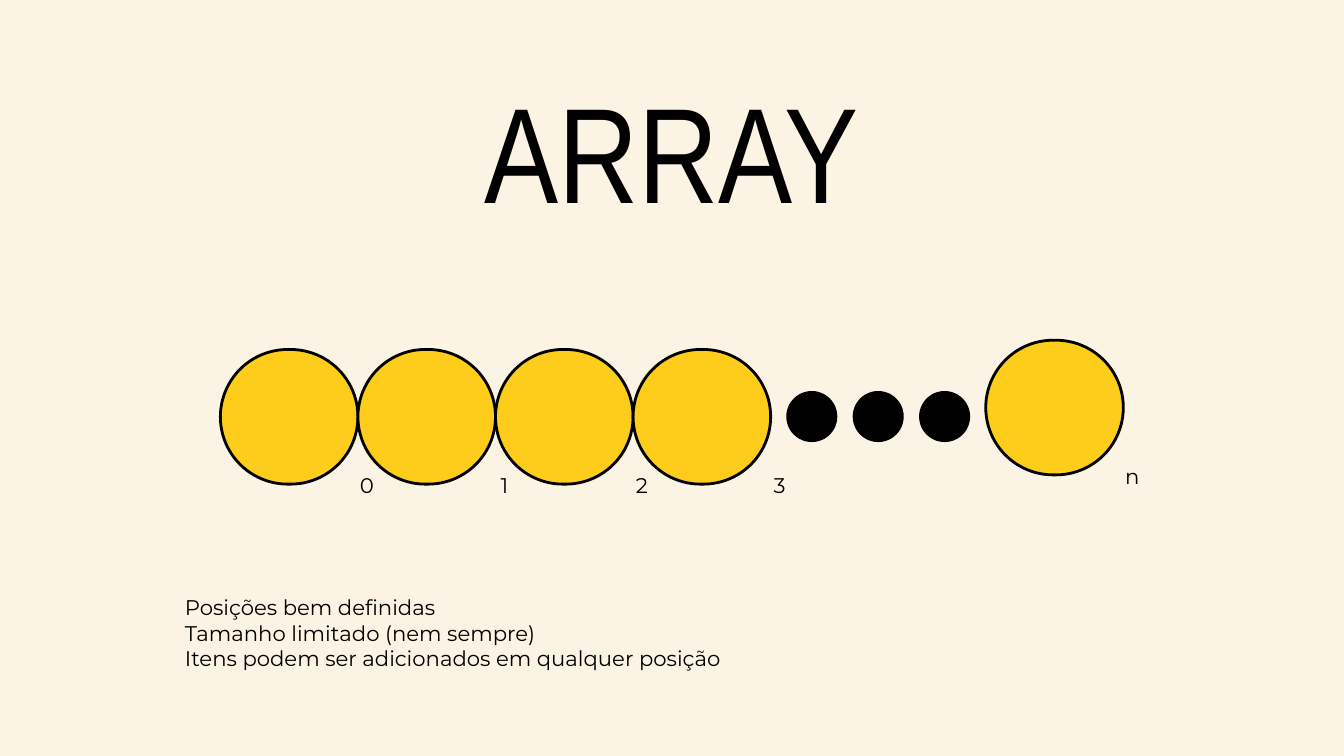
from dataclasses import dataclass

from pptx import Presentation
from pptx.dml.color import RGBColor
from pptx.enum.shapes import MSO_SHAPE
from pptx.enum.text import MSO_ANCHOR, PP_ALIGN
from pptx.util import Cm, Pt


@dataclass(frozen=True)
class Theme:
    paper: RGBColor = RGBColor.from_string("FBF3E4")
    ink: RGBColor = RGBColor.from_string("000000")
    cell: RGBColor = RGBColor.from_string("FECC1A")
    title_font: str = "Arial Narrow"
    body_font: str = "Montserrat"
    title_size: float = 145.2
    body_size: float = 22.7
    body_leading: float = 34.1


theme = Theme()


def write(sp, text, font=theme.body_font, size=theme.body_size,
          leading=theme.body_leading, align=PP_ALIGN.LEFT,
          anchor=MSO_ANCHOR.TOP, inset=0):
    tf = sp.text_frame
    tf.word_wrap = True
    tf.vertical_anchor = anchor
    tf.margin_left = tf.margin_right = Cm(inset)
    tf.margin_top = tf.margin_bottom = Cm(inset)
    p = tf.paragraphs[0]
    p.alignment = align
    p.line_spacing = Pt(leading)
    r = p.add_run()
    r.text = text
    r.font.name = font
    r.font.size = Pt(size)
    r.font.color.rgb = theme.ink


def add_disc(shapes, kind, left, top, width, height, fill):
    sp = shapes.add_shape(kind, Cm(left), Cm(top), Cm(width), Cm(height))
    sp.shadow.inherit = False
    sp.fill.solid()
    sp.fill.fore_color.rgb = fill
    sp.line.fill.background()
    return sp


prs = Presentation()
prs.slide_width = Cm(50.8)
prs.slide_height = Cm(50.8 * 9 / 16)
s = prs.slides.add_slide(prs.slide_layouts[5])
s.background.fill.solid()
s.background.fill.fore_color.rgb = theme.paper

title = s.shapes.title
title.left, title.top = Cm(13.23), Cm(3.61)
title.width, title.height = Cm(24.31), Cm(5.44)
write(title, "ARRAY", font=theme.title_font, size=theme.title_size,
      leading=theme.title_size, align=PP_ALIGN.CENTER)

cell_w, cell_h = 5.2, 5.09
cells = [(str(i), 8.33 + i * cell_w, 13.21) for i in range(4)]
cells.append(("n", 37.26, 12.86))
for index, left, top in cells:
    group = s.shapes.add_group_shape()
    sp = add_disc(group.shapes, MSO_SHAPE.ROUNDED_RECTANGLE,
                  left, top, cell_w, cell_h, theme.cell)
    sp.adjustments[0] = 0.5
    sp.line.color.rgb = theme.ink
    sp.line.width = Pt(3)
    label = group.shapes.add_textbox(Cm(left), Cm(top - 1.04), Cm(11.07), Cm(12.12))
    write(label, index, align=PP_ALIGN.CENTER, anchor=MSO_ANCHOR.MIDDLE, inset=0.15)

dot, dot_pitch = 1.93, 2.51
for i in range(3):
    add_disc(s.shapes, MSO_SHAPE.OVAL, 29.72 + i * dot_pitch, 14.78, dot, dot, theme.ink)

notes = [
    "Posições bem definidas",
    "Tamanho limitado (nem sempre)",
    "Itens podem ser adicionados em qualquer posição",
]
for i, note in enumerate(notes):
    box = s.shapes.add_textbox(Cm(6.99), Cm(22.23 + i * 0.96), Cm(20.29), Cm(1.17))
    write(box, note)

prs.save("out.pptx")
